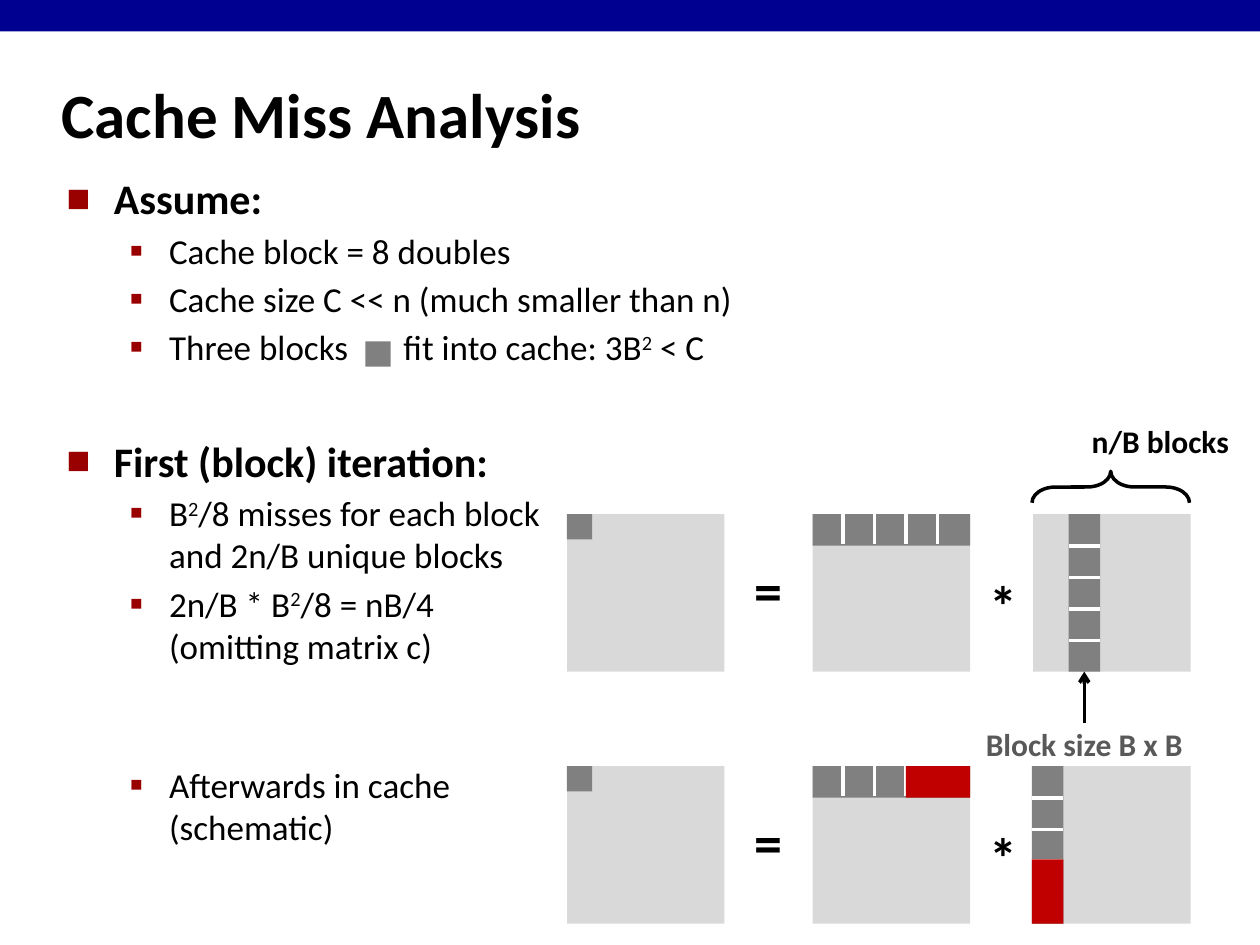
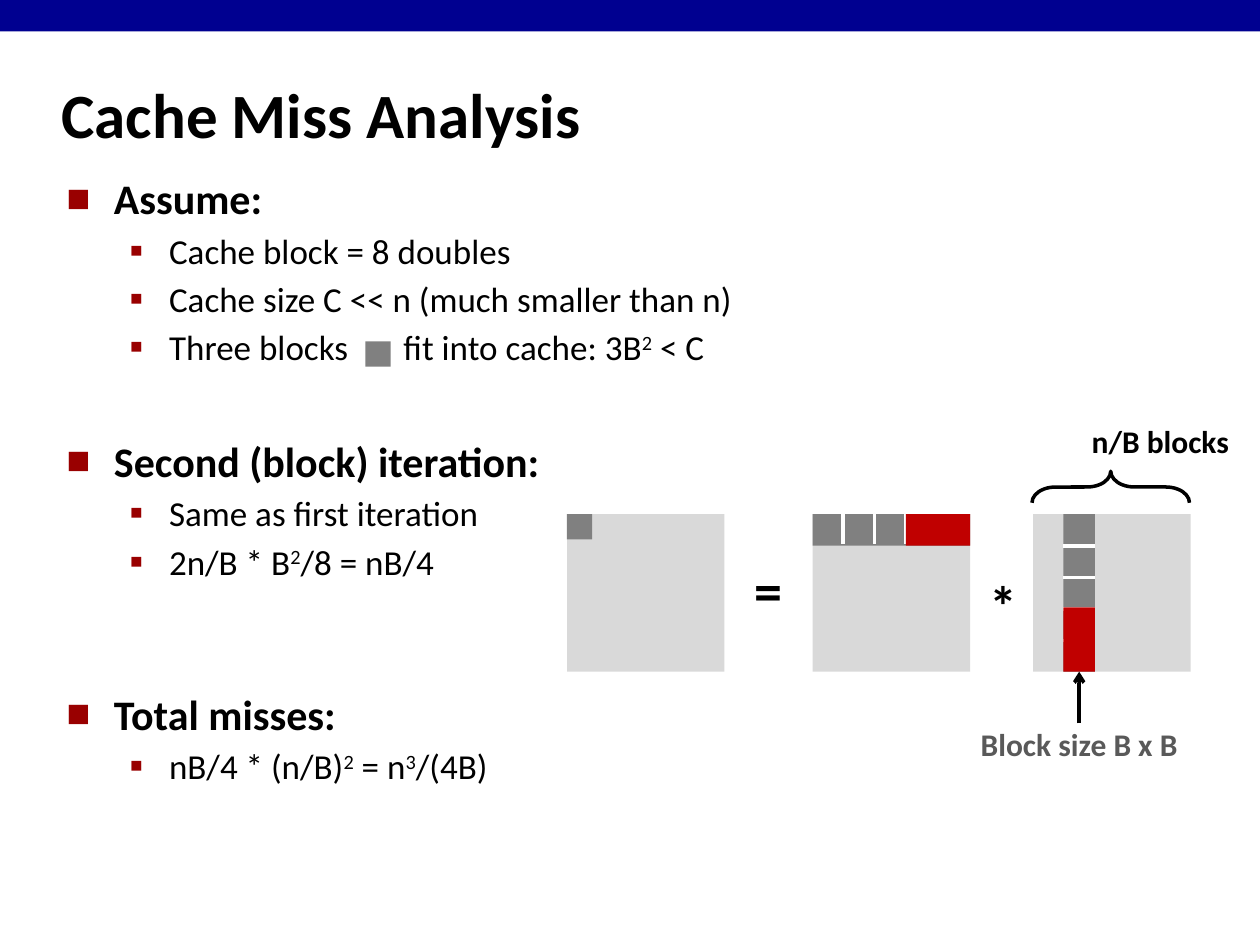
from dataclasses import dataclass

from lxml.etree import SubElement
from pptx import Presentation
from pptx.dml.color import RGBColor
from pptx.enum.shapes import MSO_CONNECTOR, MSO_SHAPE
from pptx.enum.text import MSO_ANCHOR, PP_ALIGN
from pptx.oxml.ns import qn
from pptx.util import Pt

BLACK = RGBColor(0x00, 0x00, 0x00)
WHITE = RGBColor(0xFF, 0xFF, 0xFF)
NAVY = RGBColor(0x00, 0x00, 0x90)
BULLET_RED = RGBColor(0x99, 0x00, 0x00)
CACHED_RED = RGBColor(0xC0, 0x00, 0x00)
MATRIX_GRAY = RGBColor(0xD9, 0xD9, 0xD9)
BLOCK_GRAY = RGBColor(0x80, 0x80, 0x80)
LABEL_GRAY = RGBColor(0x59, 0x59, 0x59)

FONT = "Calibri"
SIDE = 90
BLOCK = 18
TILE = 14.4
BLOCKS_PER_SIDE = 5
C_LEFT, A_LEFT, B_LEFT = 324, 464.4, 590.4
UPPER, LOWER = 293.8, 437.8
CACHED_START, CACHED_LENGTH = 53.3, 36.7


@dataclass(frozen=True)
class Level:
    """Look of one outline level."""
    size: float
    bold: bool
    margin: float
    hanging: float
    bullet: str
    bullet_percent: int


@dataclass(frozen=True)
class Item:
    """Outline line: ^ toggles superscript, | is room for the block symbol."""
    level: Level
    text: str
    before: float = 3.6


@dataclass(frozen=True)
class Product:
    """Schematic c = a * b with the column of b that is being used."""
    top: float
    column_left: float
    cached: bool


@dataclass(frozen=True)
class Page:
    """Content of one slide; the first product gets the annotations."""
    items: tuple[Item, ...]
    products: tuple[Product, ...]


HEAD = Level(24, True, 27, 27, "■", 60)
SUB = Level(20, False, 58.5, 22.5, "▪", 110)

ASSUMPTIONS = (
    Item(HEAD, "Assume:", 0),
    Item(SUB, "Cache block = 8 doubles"),
    Item(SUB, "Cache size C << n (much smaller than n)"),
    Item(SUB, "Three blocks|fit into cache: 3B^2^ < C"),
)

PAGES = (
    Page(
        ASSUMPTIONS + (
            Item(HEAD, "First (block) iteration:", 38.5),
            Item(SUB, "B^2^/8 misses for each block\nand 2n/B unique blocks"),
            Item(SUB, "2n/B * B^2^/8 = nB/4\n(omitting matrix c)"),
            Item(SUB, "Afterwards in cache\n(schematic)", 55.5),
        ),
        (Product(UPPER, 610.6, False), Product(LOWER, 589.7, True)),
    ),
    Page(
        ASSUMPTIONS + (
            Item(HEAD, "Second (block) iteration:", 38.5),
            Item(SUB, "Same as first iteration"),
            Item(SUB, "2n/B * B^2^/8 = nB/4"),
            Item(HEAD, "Total misses:", 60.5),
            Item(SUB, "nB/4 * (n/B)^2^ = n^3^/(4B)"),
        ),
        (Product(UPPER, 607.7, True),),
    ),
)


def apply(target, **values) -> None:
    """Set several attributes on one object."""
    for name, value in values.items():
        setattr(target, name, value)


def add_run(p, text: str, size: float, bold: bool, color: RGBColor = BLACK):
    """Append a formatted run."""
    r = p.add_run()
    r.text = text
    apply(r.font, name=FONT, size=Pt(size), bold=bold)
    r.font.color.rgb = color
    return r


def add_box(s, left: float, top: float, width: float, height: float, wrap: bool = True):
    """Add an empty text box."""
    sp = s.shapes.add_textbox(Pt(left), Pt(top), Pt(width), Pt(height))
    sp.text_frame.word_wrap = wrap
    return sp


def add_rect(s, left: float, top: float, width: float, height: float, color: RGBColor):
    """Add a plain filled rectangle."""
    sp = s.shapes.add_shape(MSO_SHAPE.RECTANGLE, Pt(left), Pt(top), Pt(width), Pt(height))
    sp.shadow.inherit = False
    sp.fill.solid()
    sp.fill.fore_color.rgb = color
    sp.line.fill.background()
    return sp


def add_line(s, x1: float, y1: float, x2: float, y2: float, color: RGBColor):
    """Add a straight two-point line without shadow."""
    line = s.shapes.add_connector(MSO_CONNECTOR.STRAIGHT, Pt(x1), Pt(y1), Pt(x2), Pt(y2))
    line.line.color.rgb = color
    line.line.width = Pt(2)
    SubElement(line._element.spPr, qn("a:effectLst"))
    return line


def add_label(s, left: float, top: float, width: float, height: float,
              text: str, size: float, color: RGBColor = BLACK):
    """Add a centred bold label."""
    sp = add_box(s, left, top, width, height, wrap=False)
    p = sp.text_frame.paragraphs[0]
    apply(p, alignment=PP_ALIGN.CENTER, line_spacing=0.9)
    add_run(p, text, size, True, color)
    return sp


def add_bullet(p, level: Level) -> None:
    """Give a paragraph its indent and bullet."""
    pPr = p._p.get_or_add_pPr()
    pPr.set("marL", str(Pt(level.margin)))
    pPr.set("indent", str(-Pt(level.hanging)))
    SubElement(SubElement(pPr, qn("a:buClr")), qn("a:srgbClr"), val=str(BULLET_RED))
    SubElement(pPr, qn("a:buSzPct"), val=str(level.bullet_percent * 1000))
    SubElement(pPr, qn("a:buFont"), typeface=FONT)
    SubElement(pPr, qn("a:buChar"), char=level.bullet)


def add_item(p, item: Item) -> None:
    """Write one outline line."""
    size, bold = item.level.size, item.level.bold
    p.space_before = Pt(item.before)
    add_bullet(p, item.level)
    for i, part in enumerate(item.text.split("^")):
        for j, row in enumerate(part.split("\n")):
            if j:
                p.add_line_break()
            for k, piece in enumerate(row.split("|")):
                if k:
                    gap = add_run(p, " ", size, bold)
                    gap.font._element.set("spc", "2700")
                r = add_run(p, piece, size, bold)
                if i % 2:
                    r.font._element.set("baseline", "30000")


def add_frame(s) -> None:
    """Draw the top band and the title."""
    add_rect(s, 0, 0, 720, 18, NAVY)
    tf = add_box(s, 28.1, 34.6, 597.6, 59.8).text_frame
    tf.vertical_anchor = MSO_ANCHOR.MIDDLE
    add_run(tf.paragraphs[0], "Cache Miss Analysis", 36, True)


def add_outline(s, items: tuple[Item, ...]) -> None:
    """Write the outline and the block symbol inside it."""
    tf = add_box(s, 31, 95, 622, 420).text_frame
    for i, item in enumerate(items):
        add_item(tf.add_paragraph() if i else tf.paragraphs[0], item)
    add_rect(s, 208.8, 195.1, TILE, TILE, BLOCK_GRAY)


def add_product(s, product: Product):
    """Draw c = a * b and return the used column of b."""
    top, column = product.top, product.column_left
    for left in (C_LEFT, A_LEFT, B_LEFT):
        add_rect(s, left, top, SIDE, SIDE, MATRIX_GRAY)
    add_label(s, 423.4, top + 24.5, 31, 46, "=", 32)
    add_label(s, 558, top + 33.1, 31, 46, "*", 32)
    add_rect(s, C_LEFT, top, TILE, TILE, BLOCK_GRAY)
    add_rect(s, A_LEFT, top, SIDE, BLOCK, BLOCK_GRAY)
    bar = add_rect(s, column, top, BLOCK, SIDE, BLOCK_GRAY)
    for i in range(1, BLOCKS_PER_SIDE):
        x, y = A_LEFT + i * BLOCK - 0.7, top + i * BLOCK + 0.3
        add_line(s, x, top - 0.7, x, top + BLOCK - 0.7, WHITE)
        add_line(s, column + BLOCK, y, column, y, WHITE)
    if product.cached:
        add_rect(s, A_LEFT + CACHED_START, top, CACHED_LENGTH, BLOCK, CACHED_RED)
        add_rect(s, column, top + CACHED_START, BLOCK, CACHED_LENGTH, CACHED_RED)
    return bar


def add_annotations(s, product: Product, bar) -> None:
    """Label the block size and the number of blocks."""
    width = 128
    center = product.column_left + BLOCK / 2
    label = add_label(s, center - width / 2, 413.3, width, 29,
                      "Block size B x B", 18, LABEL_GRAY)
    arrow = add_line(s, center, 413.3, center, product.top + SIDE, BLACK)
    arrow.begin_connect(label, 0)
    arrow.end_connect(bar, 2)
    SubElement(arrow.line._get_or_add_ln(), qn("a:tailEnd"), type="arrow")

    brace = s.shapes.add_shape(MSO_SHAPE.LEFT_BRACE, Pt(625.7), Pt(233.3), Pt(BLOCK), Pt(SIDE))
    brace.rotation = 90
    brace.adjustments[0] = 0.75
    brace.shadow.inherit = False
    brace.fill.background()
    brace.line.color.rgb = BLACK
    brace.line.width = Pt(2)
    add_label(s, 616.3, 239.8, 93.6, 29, "n/B blocks", 18)


def main() -> None:
    """Build and save the slides."""
    prs = Presentation()
    apply(prs, slide_width=Pt(720), slide_height=Pt(540))
    for page in PAGES:
        s = prs.slides.add_slide(prs.slide_layouts[6])
        add_frame(s)
        add_outline(s, page.items)
        bars = [add_product(s, product) for product in page.products]
        add_annotations(s, page.products[0], bars[0])
    prs.save("out.pptx")


if __name__ == "__main__":
    main()
